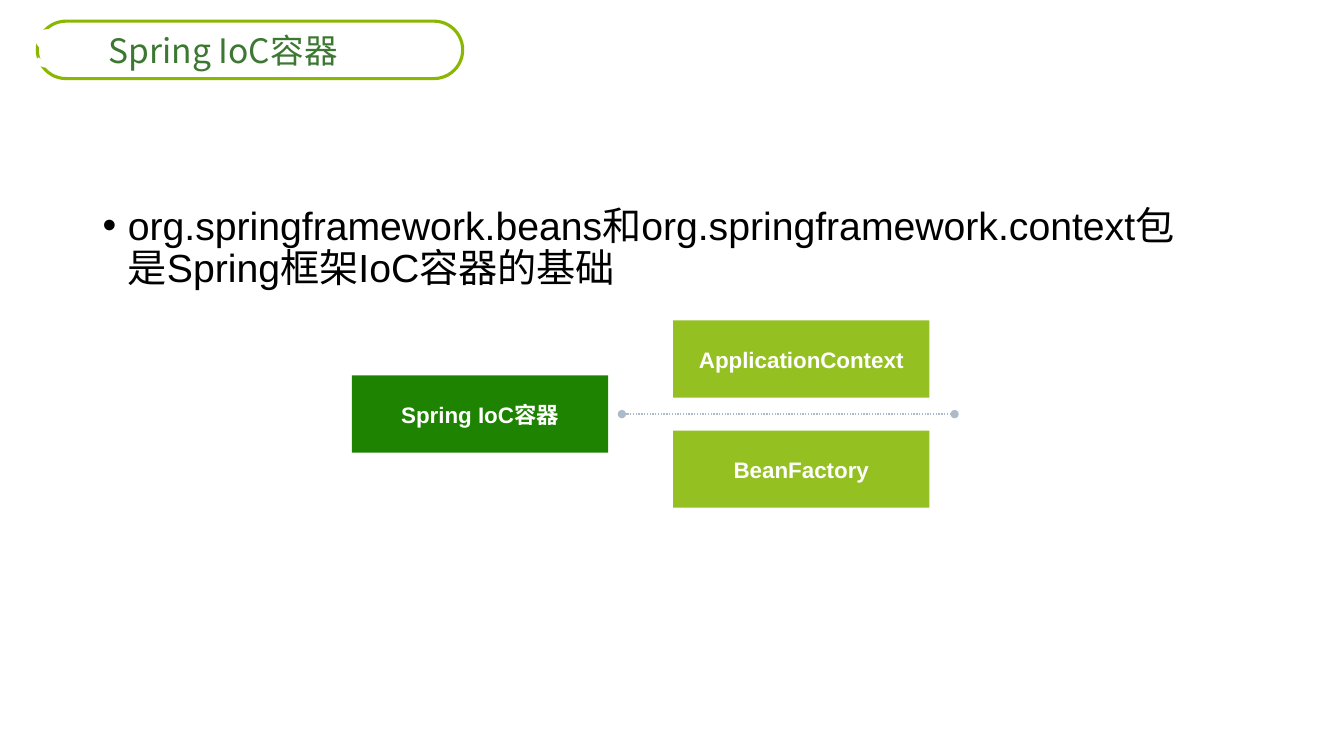
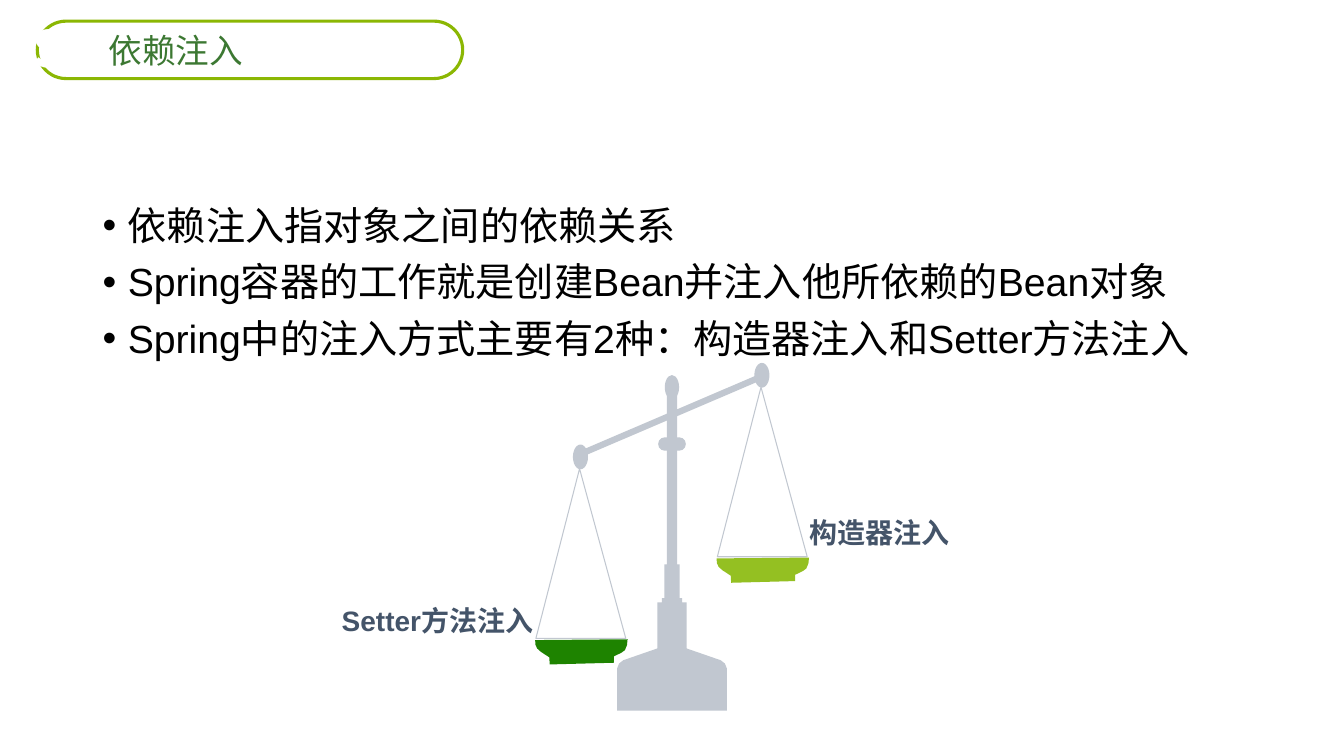
import lxml.etree
import pptx
import pptx.dml.color
import pptx.enum.dml
import pptx.enum.shapes
import pptx.enum.text
import pptx.oxml.ns
import pptx.util

COLUMNS, ROWS = 160, 90
SLIDE_WIDTH, SLIDE_HEIGHT = 12192000, 6858000

WHITE, BLACK = "FFFFFF", "000000"
DARK_GREEN, LIGHT_GREEN = "1E8300", "94C022"
BORDER_GREEN, TITLE_GREEN = "8BB703", "3C7832"
METAL, DOTTED, LABEL = "C1C7D0", "ADBACA", "445469"
LATIN, CHINESE = "Arial", "Noto Sans CJK SC"

SHAPES = pptx.enum.shapes.MSO_SHAPE
ANCHOR = pptx.enum.text.MSO_ANCHOR
ALIGN = pptx.enum.text.PP_ALIGN


def grid(column, row):
    """Grid position or size as EMU."""
    return (pptx.util.Emu(round(column * SLIDE_WIDTH / COLUMNS)),
            pptx.util.Emu(round(row * SLIDE_HEIGHT / ROWS)))


def color(value):
    return pptx.dml.color.RGBColor.from_string(value)


def add_element(parent, tag, **attributes):
    return lxml.etree.SubElement(parent, pptx.oxml.ns.qn(tag), attributes)


def style(shape, fill=None, line=None, line_width=0):
    """Set fill and outline; None leaves that part out."""
    shape.shadow.inherit = False
    if fill:
        shape.fill.solid()
        shape.fill.fore_color.rgb = color(fill)
    else:
        shape.fill.background()
    if line:
        shape.line.color.rgb = color(line)
        shape.line.width = pptx.util.Pt(line_width)
    else:
        shape.line.fill.background()


def add_run(paragraph, text, size, text_color, font=LATIN, bold=False):
    run = paragraph.add_run()
    run.text = text
    run.font.size = pptx.util.Pt(size)
    run.font.bold = bold
    run.font.name = font
    run.font.color.rgb = color(text_color)
    add_element(run.font._element, "a:ea", typeface=CHINESE)


def set_frame(frame, anchor=ANCHOR.TOP, margins=0, wrap=True):
    frame.word_wrap = wrap
    frame.vertical_anchor = anchor
    frame.margin_left = frame.margin_right = pptx.util.Inches(margins)
    frame.margin_top = frame.margin_bottom = pptx.util.Inches(margins / 2)


def add_preset(slide, preset, left, top, width, height, **look):
    shape = slide.shapes.add_shape(preset, *grid(left, top), *grid(width, height))
    style(shape, **look)
    return shape


def add_centered(slide, preset, center, size, **look):
    left, top = (middle - length / 2 for middle, length in zip(center, size))
    return add_preset(slide, preset, left, top, *size, **look)


def add_outline(slide, points, **look):
    start, *others = [grid(*point) for point in points]
    builder = slide.shapes.build_freeform(*start)
    builder.add_line_segments(others, close=True)
    style(builder.convert_to_shape(), **look)


def add_line(slide, start, end, line, line_width):
    connector = slide.shapes.add_connector(
        pptx.enum.shapes.MSO_CONNECTOR.STRAIGHT, *grid(*start), *grid(*end))
    connector.line.color.rgb = color(line)
    connector.line.width = pptx.util.Pt(line_width)
    add_element(connector._element.spPr, "a:effectLst")
    return connector


def add_text_box(slide, left, top, width, height):
    return slide.shapes.add_textbox(*grid(left, top), *grid(width, height)).text_frame


def add_label(slide, text, left, top, width):
    frame = add_text_box(slide, left, top, width, 4.1)
    set_frame(frame)
    add_run(frame.paragraphs[0], text, 20, LABEL, bold=True)


def add_block(slide, text, center, fill):
    block = add_centered(slide, SHAPES.RECTANGLE, center, (30.5, 9.2), fill=fill)
    set_frame(block.text_frame, ANCHOR.MIDDLE)
    paragraph = block.text_frame.paragraphs[0]
    paragraph.alignment = ALIGN.CENTER
    add_run(paragraph, text, 16, WHITE, bold=True)


def add_title(slide, text):
    pill = add_preset(slide, SHAPES.ROUNDED_RECTANGLE, 4.44, 2.52, 50.64, 6.84,
                      fill=WHITE, line=BORDER_GREEN, line_width=2.25)
    pill.adjustments[0] = 0.5
    frame = pill.text_frame
    set_frame(frame, ANCHOR.MIDDLE)
    frame.margin_left = grid(7.5, 0)[0]
    frame.paragraphs[0].alignment = ALIGN.LEFT
    add_run(frame.paragraphs[0], text, 24, TITLE_GREEN, CHINESE)
    # The white letter notches the left end of the border.
    notch = add_text_box(slide, 2.64, 1.44, 6.1, 8.5)
    set_frame(notch, margins=0.1, wrap=False)
    add_run(notch.paragraphs[0], "S", 36, WHITE, CHINESE, bold=True)


def add_bullets(slide, texts, width, height):
    frame = add_text_box(slide, 11.04, 24, width, height)
    set_frame(frame, margins=0.1)
    indent = pptx.util.Inches(0.25)
    for index, text in enumerate(texts):
        paragraph = frame.add_paragraph() if index else frame.paragraphs[0]
        paragraph.line_spacing = 0.9
        paragraph.space_before = pptx.util.Pt(10)
        properties = paragraph._p.get_or_add_pPr()
        properties.set("marL", str(int(indent)))
        properties.set("indent", str(-int(indent)))
        add_element(properties, "a:buFont", typeface=LATIN)
        add_element(properties, "a:buChar", char="•")
        add_run(paragraph, text, 28, BLACK)


def add_container_diagram(slide):
    middle, offset, leaf_column = 49.3, 6.55, 95.4
    divider = add_line(slide, (113.64, middle), (74.04, middle), DOTTED, 1)
    divider.line.dash_style = pptx.enum.dml.MSO_LINE.ROUND_DOT
    for end in ("a:headEnd", "a:tailEnd"):
        add_element(divider.get_or_add_ln(), end, type="oval")
    add_block(slide, "Spring IoC容器", (57.15, middle), DARK_GREEN)
    add_block(slide, "ApplicationContext", (leaf_column, middle - offset), LIGHT_GREEN)
    add_block(slide, "BeanFactory", (leaf_column, middle + offset), LIGHT_GREEN)


def add_pan(slide, hook, fill):
    """Draw the strings and the bowl hanging from one hook."""
    def hang(offsets):
        return [(hook[0] + across, hook[1] + down) for across, down in offsets]

    add_outline(slide, hang([(0, 0), (-5.2, 20.2), (5.5, 20.2)]), line=METAL)
    bowl = [(-5.28, 20.4), (-5.25, 20.95), (-5.04, 21.4), (-4.6, 21.8),
            (-3.6, 22.45), (-3.55, 23.3), (4.08, 23.1), (4.08, 22.35),
            (5, 21.9), (5.4, 21.6), (5.65, 21), (5.72, 20.3)]
    add_outline(slide, hang(bowl), fill=fill)


def add_stand(slide, center):
    """Draw the column and foot, mirrored about the center."""
    profile = [(0.6, 46.8), (0.6, 67.2), (0.9, 67.2), (0.9, 71.2), (1.2, 71.2),
               (1.2, 71.7), (1.75, 71.7), (1.75, 77.2), (5.8, 78.6),
               (6.3, 79), (6.54, 79.6), (6.54, 84.6)]
    right = [(center + half, row) for half, row in profile]
    left = [(center - half, row) for half, row in reversed(profile)]
    add_outline(slide, right + left, fill=METAL)
    add_centered(slide, SHAPES.OVAL, (center, 46.1), (1.7, 2.9), fill=METAL)
    collar = add_centered(slide, SHAPES.ROUNDED_RECTANGLE, (center, 52.86),
                          (3.3, 1.6), fill=METAL)
    collar.adjustments[0] = 0.5


def add_balance(slide):
    pans = (((90.6, 46.08), LIGHT_GREEN), ((69, 55.8), DARK_GREEN))
    for hook, fill in pans:
        add_pan(slide, hook, fill)
    add_line(slide, (68.4, 54.36), (90, 45.12), METAL, 4.5)
    for (column, row), _ in pans:
        add_centered(slide, SHAPES.OVAL, (column + 0.1, row - 1.4), (1.8, 2.95), fill=METAL)
    add_stand(slide, COLUMNS / 2)
    add_label(slide, "Setter方法注入", 40.68, 71.88, 23.04)
    add_label(slide, "构造器注入", 96.36, 61.32, 17)


def add_slide(presentation, title):
    slide = presentation.slides.add_slide(presentation.slide_layouts[6])
    add_title(slide, title)
    return slide


def main():
    presentation = pptx.Presentation()
    presentation.slide_width, presentation.slide_height = grid(COLUMNS, ROWS)

    container = add_slide(presentation, "Spring IoC容器")
    add_bullets(container, [
        "org.springframework.beans和org.springframework.context包是Spring框架IoC容器的基础",
    ], 133.56, 14.3)
    add_container_diagram(container)

    injection = add_slide(presentation, "依赖注入")
    add_bullets(injection, [
        "依赖注入指对象之间的依赖关系",
        "Spring容器的工作就是创建Bean并注入他所依赖的Bean对象",
        "Spring中的注入方式主要有2种：构造器注入和Setter方法注入",
    ], 138, 57.1)
    add_balance(injection)

    presentation.save("out.pptx")


if __name__ == "__main__":
    main()
